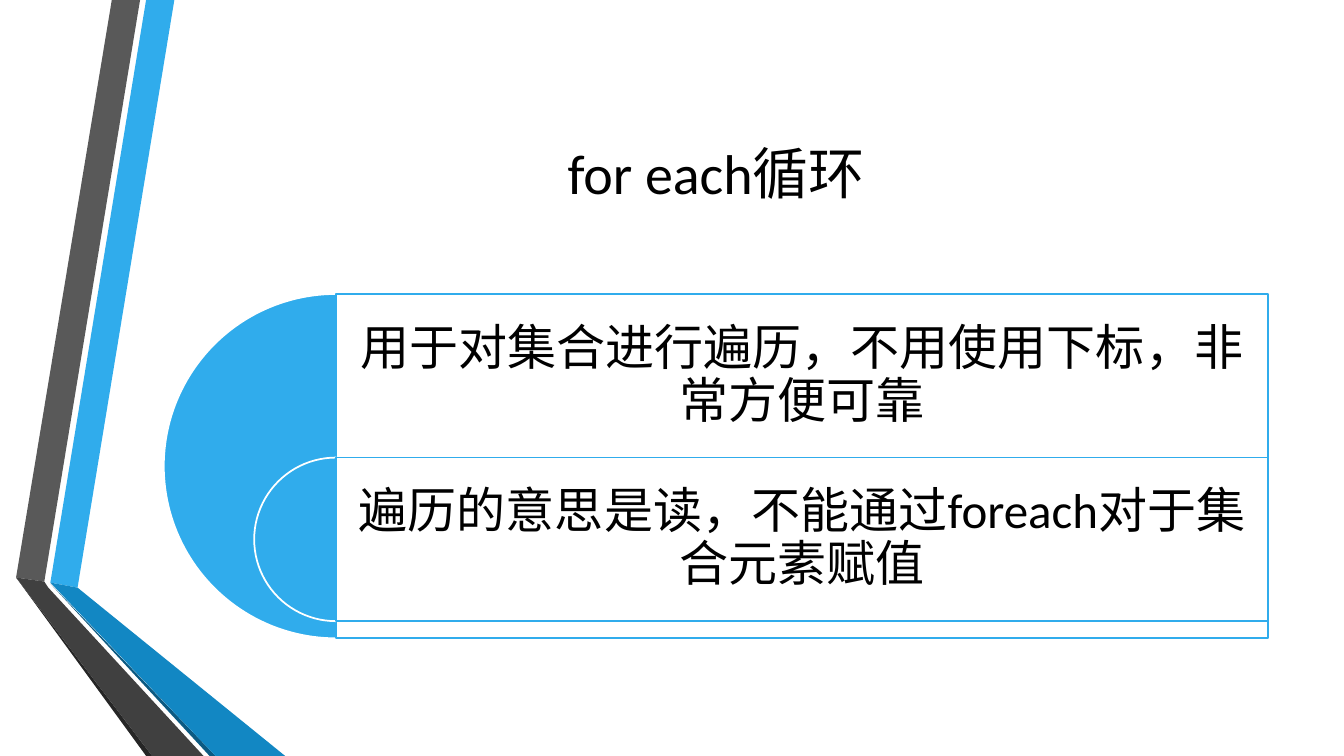
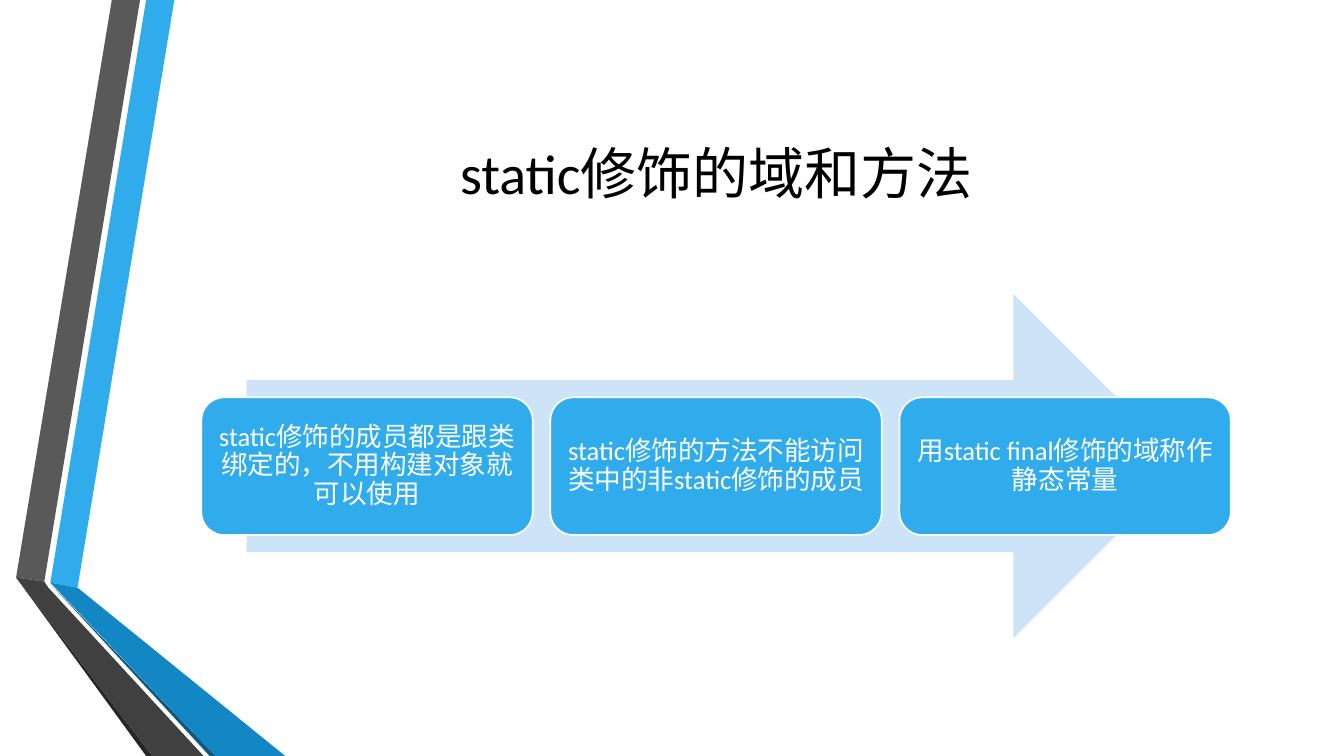
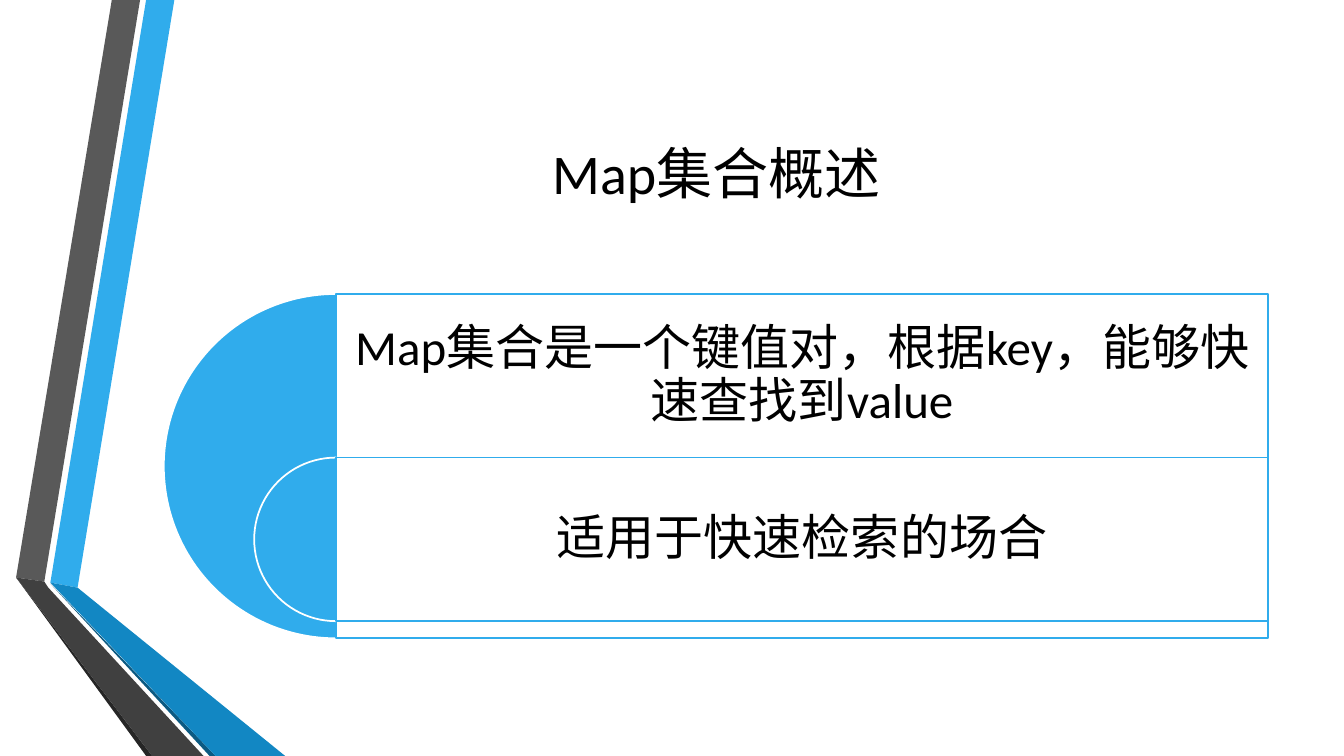
from dataclasses import dataclass

from lxml.etree import SubElement
from pptx import Presentation
from pptx.dml.color import RGBColor
from pptx.enum.shapes import MSO_SHAPE
from pptx.enum.text import MSO_ANCHOR, PP_ALIGN
from pptx.oxml.ns import qn
from pptx.util import Inches, Pt


@dataclass(frozen=True)
class Theme:
    font: str = "Calibri"
    title_size: int = 40
    panel_size: int = 35
    card_size: int = 19
    outline: float = 1.25
    black: str = "000000"
    white: str = "FFFFFF"
    blue: str = "30ACEC"
    deep_blue: str = "1287C3"
    navy: str = "0C5A82"
    pale_blue: str = "CDE3F8"
    grey: str = "595959"
    dark_grey: str = "404040"
    charcoal: str = "262626"


@dataclass(frozen=True)
class Box:
    left: float
    top: float
    width: float
    height: float

    def place(self):
        return [round(CELL * value) for value in (self.left, self.top, self.width, self.height)]

    def share(self, left, top, width, height):
        return Box(self.left + left * self.width, self.top + top * self.height,
                   width * self.width, height * self.height)


THEME = Theme()
CELL = Inches(1) / 12
PAGE = Box(0, 0, 160, 90)
TITLE = Box(19.5, 9, 131.5, 23)
CONTENT = Box(19.5, 35, 131.5, 41)
ROW_SHARE = 0.475
CARD_WIDTH, CARD_GAP = 0.3, 0.016

RIBBONS = [
    (THEME.blue, [(50, 578), (77, 583), (173, 0), (145, 0)]),
    (THEME.grey, [(139, 0), (111, 0), (16, 573), (44, 577)]),
    (THEME.charcoal, [(16, 573), (145, 750), (151, 750)]),
    (THEME.navy, [(50, 579), (208, 750), (214, 750)]),
    (THEME.deep_blue, [(50, 578), (214, 750), (283, 750), (77, 583)]),
    (THEME.dark_grey, [(202, 750), (48, 583), (44, 577), (16, 573), (151, 750)]),
]


def apply(target, values):
    for name, value in values.items():
        setattr(target, name, value)


def paint(shape, fill, line=None):
    shape.shadow.inherit = False
    shape.fill.solid()
    shape.fill.fore_color.rgb = RGBColor.from_string(fill)
    if line:
        shape.line.color.rgb = RGBColor.from_string(line)
        shape.line.width = Pt(THEME.outline)
    else:
        shape.line.fill.background()


def add_figure(page, kind, box, fill, line=None):
    shape = page.shapes.add_shape(kind, *box.place())
    paint(shape, fill, line)
    return shape


def write(shape, text, size, color, spacing=None):
    frame = shape.text_frame
    frame.text = text
    apply(frame, {"word_wrap": True, "vertical_anchor": MSO_ANCHOR.MIDDLE})
    para = frame.paragraphs[0]
    apply(para, {"alignment": PP_ALIGN.CENTER, "line_spacing": spacing})
    span = para.runs[0]
    apply(span.font, {"name": THEME.font, "size": Pt(size)})
    span.font.color.rgb = RGBColor.from_string(color)


def set_margins(shape, inset, bottom=None):
    apply(shape.text_frame, {
        "margin_left": inset, "margin_top": inset, "margin_right": inset,
        "margin_bottom": inset if bottom is None else bottom,
    })


def add_ribbons(page, layout):
    group = page.shapes.add_group_shape()
    for color, (start, *rest) in RIBBONS:
        builder = group.shapes.build_freeform(*start, scale=Inches(1) / 100)
        builder.add_line_segments(rest, close=True)
        paint(builder.convert_to_shape(), color)
    layout.shapes.element.insert(2, group.element)


def add_page(deck, layout, title):
    page = deck.slides.add_slide(layout)
    write(page.shapes.title, title, THEME.title_size, THEME.black)
    return page


def add_panels(page, box, texts):
    edge = box.left + box.height / 2
    row = box.height * ROW_SHARE
    inset = Inches(0.15)
    for index, (text, height) in enumerate(zip(texts, (box.height, row))):
        top = box.top + index * row
        half_disc = add_figure(page, MSO_SHAPE.PIE, Box(edge - height / 2, top, height, height),
                               THEME.blue, THEME.white)
        half_disc.adjustments[0], half_disc.adjustments[1] = 54, 162
        panel = add_figure(page, MSO_SHAPE.RECTANGLE,
                           Box(edge, top, box.width - box.height / 2, height),
                           THEME.white, THEME.blue)
        color = panel.element.spPr.find(qn("a:solidFill"))[0]
        SubElement(color, qn("a:alpha"), val="90000")
        set_margins(panel, inset, round(inset + CELL * (height - row)))
        write(panel, text, THEME.panel_size, THEME.black, 0.9)


def add_arrow_cards(page, box, texts):
    add_figure(page, MSO_SHAPE.RIGHT_ARROW, box.share(0.075, 0, 0.85, 1), THEME.pale_blue)
    pitch = CARD_WIDTH + CARD_GAP
    first = (1 - len(texts) * pitch + CARD_GAP) / 2
    for index, text in enumerate(texts):
        card = add_figure(page, MSO_SHAPE.ROUNDED_RECTANGLE,
                          box.share(first + index * pitch, 0.3, CARD_WIDTH, 0.4),
                          THEME.blue, THEME.white)
        set_margins(card, Inches(0.08))
        write(card, text, THEME.card_size, THEME.white, 0.9)


PAGES = [
    ("for each循环", add_panels, [
        "用于对集合进行遍历，不用使用下标，非常方便可靠",
        "遍历的意思是读，不能通过foreach对于集合元素赋值",
    ]),
    ("static修饰的域和方法", add_arrow_cards, [
        "static修饰的成员都是跟类绑定的，不用构建对象就可以使用",
        "static修饰的方法不能访问类中的非static修饰的成员",
        "用static final修饰的域称作静态常量",
    ]),
    ("Map集合概述", add_panels, [
        "Map集合是一个键值对，根据key，能够快速查找到value",
        "适用于快速检索的场合",
    ]),
]


def main():
    deck = Presentation()
    _, _, width, height = PAGE.place()
    apply(deck, {"slide_width": width, "slide_height": height})
    layout = deck.slide_layouts.get_by_name("Title Only")
    apply(layout.placeholders[0], dict(zip(("left", "top", "width", "height"), TITLE.place())))
    for title, add_content, texts in PAGES:
        page = add_page(deck, layout, title)
        add_content(page, CONTENT, texts)
    add_ribbons(deck.slides[0], layout)
    deck.save("out.pptx")


if __name__ == "__main__":
    main()
